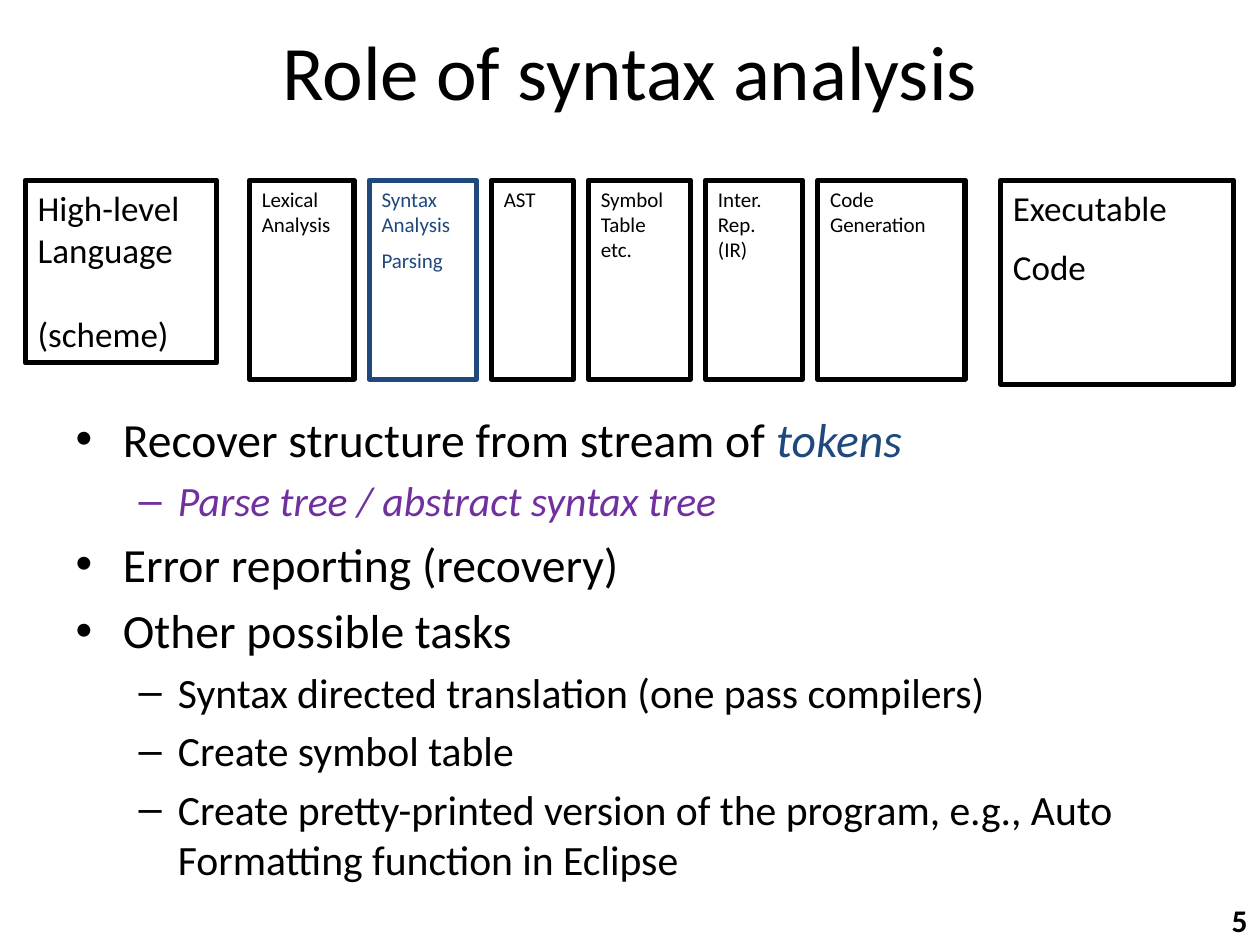
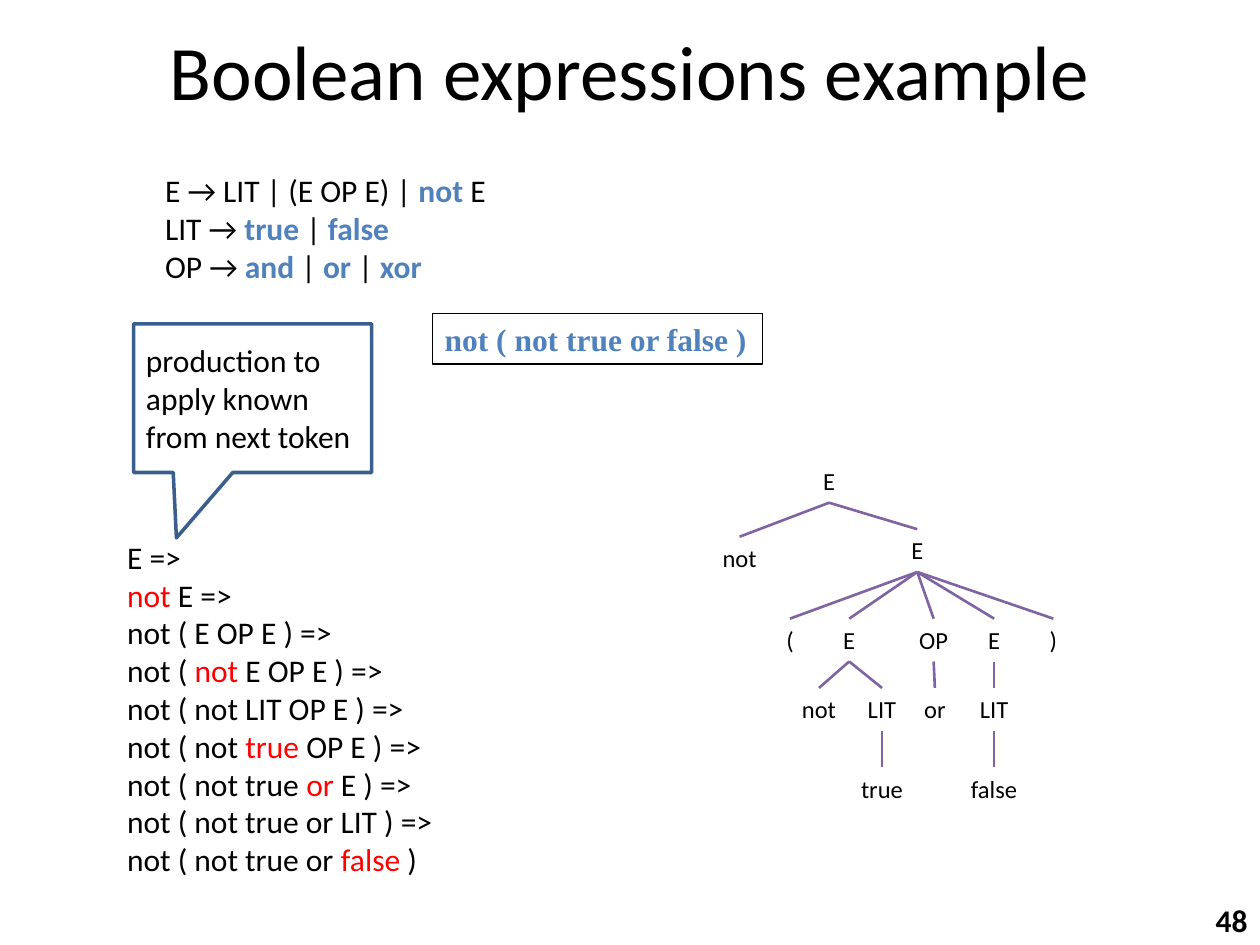
from lxml import etree
from pptx import Presentation
from pptx.dml.color import RGBColor
from pptx.enum.shapes import MSO_CONNECTOR, MSO_SHAPE
from pptx.enum.text import MSO_ANCHOR, MSO_AUTO_SIZE, PP_ALIGN
from pptx.oxml.ns import qn
from pptx.util import Inches, Pt

RECTANGLE = MSO_SHAPE.RECTANGLE
CALLOUT = MSO_SHAPE.RECTANGULAR_CALLOUT
STRAIGHT = MSO_CONNECTOR.STRAIGHT
TOP, MIDDLE = MSO_ANCHOR.TOP, MSO_ANCHOR.MIDDLE
LEFT, CENTER, RIGHT = PP_ALIGN.LEFT, PP_ALIGN.CENTER, PP_ALIGN.RIGHT
NO_FIT = MSO_AUTO_SIZE.NONE

COLORS = {
    "black": "000000",
    "navy": "1F497D",
    "purple": "7030A0",
    "blue": "4F81BD",
    "red": "FF0000",
    "branch": "8064A2",
    "callout": "3A5F8C",
}
FONT = "Calibri"
TITLE_ONLY, TITLE_AND_BODY = 5, 1
BOTTOM_SIDE, TOP_SIDE = 2, 0


def rgb(name):
    return RGBColor.from_string(COLORS[name])


class Deck:
    def __init__(self):
        self.presentation = Presentation()
        self.presentation.slide_width = Inches(10)
        self.presentation.slide_height = Inches(7.5)
        self.slide = None

    def start_slide(self, layout, title, number):
        layouts = self.presentation.slide_layouts
        self.slide = self.presentation.slides.add_slide(layouts[layout])
        heading = self.slide.shapes.title
        self.place(heading, 0.5, 0.13, 9, 0.85)
        self.set_lines(heading.text_frame, [title], 44, align=CENTER,
                       anchor=MIDDLE)
        self.text(9.49, 7.1, 0.51, 0.4, [number], 18, align=RIGHT, bold=True)

    def place(self, shape, left, top, width, height):
        shape.left, shape.top = Inches(left), Inches(top)
        shape.width, shape.height = Inches(width), Inches(height)

    def fill_paragraph(self, paragraph, text, size, color="black", font=FONT,
                       bold=None, italic=None, accent=None, accent_bold=None,
                       accent_italic=None):
        paragraph.font.name = font
        paragraph.font.size = Pt(size)
        paragraph.font.bold = bold
        paragraph.font.italic = italic
        paragraph.font.color.rgb = rgb(color)
        if accent is None:
            paragraph.text = text
            return
        for index, piece in enumerate(text.split("*")):
            if piece:
                run = paragraph.add_run()
                run.text = piece
                if index % 2:
                    run.font.color.rgb = rgb(accent)
                    run.font.bold = accent_bold
                    run.font.italic = accent_italic

    def set_lines(self, frame, lines, size, align=LEFT, anchor=TOP, wrap=True,
                  gap=0, **style):
        frame.word_wrap = wrap
        frame.auto_size = NO_FIT
        frame.vertical_anchor = anchor
        for index, line in enumerate(lines):
            paragraph = frame.add_paragraph() if index else frame.paragraphs[0]
            paragraph.alignment = align
            paragraph.space_before = Pt(gap if index else 0)
            self.fill_paragraph(paragraph, line, size, **style)

    def text(self, left, top, width, height, lines, size, **style):
        box = self.slide.shapes.add_textbox(
            Inches(left), Inches(top), Inches(width), Inches(height))
        self.set_lines(box.text_frame, lines, size, **style)
        return box

    def outline(self, kind, left, top, width, height, lines, size, line,
                weight, **style):
        shape = self.slide.shapes.add_shape(
            kind, Inches(left), Inches(top), Inches(width), Inches(height))
        shape.shadow.inherit = False
        shape.fill.background()
        shape.line.color.rgb = rgb(line)
        shape.line.width = Pt(weight)
        self.set_lines(shape.text_frame, lines, size, **style)
        return shape

    def bullets(self, left, top, width, height, items):
        body = self.slide.placeholders[1]
        self.place(body, left, top, width, height)
        frame = body.text_frame
        frame.auto_size = NO_FIT
        for index, (level, text, style) in enumerate(items):
            paragraph = frame.add_paragraph() if index else frame.paragraphs[0]
            paragraph.level = level
            if index == 0:
                paragraph.space_before = Pt(0)
            self.fill_paragraph(paragraph, text, 23.8 if level else 27.2, **style)

    def branch(self, parent, child):
        line = self.slide.shapes.add_connector(STRAIGHT, 0, 0, 0, 0)
        line.begin_connect(parent, BOTTOM_SIDE)
        line.end_connect(child, TOP_SIDE)
        line.line.color.rgb = rgb("branch")
        line.line.width = Pt(1.5)
        etree.SubElement(line._element.spPr, qn("a:effectLst"))


def syntax_role(deck):
    deck.start_slide(TITLE_AND_BODY, "Role of syntax analysis", "5")
    deck.bullets(0.5, 3.2, 9, 3.5, [
        (0, "Recover structure from stream of *tokens*",
         {"accent": "navy", "accent_italic": True}),
        (1, "Parse tree / abstract syntax tree",
         {"color": "purple", "italic": True}),
        (0, "Error reporting (recovery)", {}),
        (0, "Other possible tasks", {}),
        (1, "Syntax directed translation (one pass compilers)", {}),
        (1, "Create symbol table", {}),
        (1, "Create pretty-printed version of the program, e.g., "
            "Auto Formatting function in Eclipse", {}),
    ])

    stage_top = 1.43
    deck.outline(RECTANGLE, 0.2, stage_top, 1.52, 1.45,
                 ["High-level\vLanguage", "(scheme)"], 20, "black", 3, gap=24)
    deck.outline(RECTANGLE, 7.94, stage_top, 1.85, 1.62,
                 ["Executable", "Code"], 20, "black", 3, gap=10)
    stages = [
        (0.83, ["Lexical\vAnalysis"], "black"),
        (0.85, ["Syntax Analysis", "Parsing"], "navy"),
        (0.65, ["AST"], "black"),
        (0.81, ["Symbol\vTable\vetc."], "black"),
        (0.77, ["Inter.\vRep.\v(IR)"], "black"),
        (1.17, ["Code\vGeneration"], "black"),
    ]
    left, stage_gap = 1.98, 0.12
    for width, label, color in stages:
        deck.outline(RECTANGLE, left, stage_top, width, 1.58, label, 12,
                     color, 3, gap=6, color=color)
        left += width + stage_gap


def derivation_tree(deck):
    nodes = [
        ("root", None, "E", 6.58, 3.65, 0.3),
        ("root not", "root", "not", 5.87, 4.26, 0.48),
        ("group", "root", "E", 7.28, 4.2, 0.31),
        ("open", "group", "(", 6.27, 4.91, 0.26),
        ("left", "group", "E", 6.74, 4.91, 0.3),
        ("operator", "group", "OP", 7.41, 4.91, 0.43),
        ("right", "group", "E", 7.89, 4.91, 0.3),
        ("close", "group", ")", 8.36, 4.91, 0.26),
        ("left not", "left", "not", 6.5, 5.46, 0.48),
        ("left literal", "left", "LIT", 7, 5.46, 0.43),
        ("or", "operator", "or", 7.42, 5.46, 0.37),
        ("right literal", "right", "LIT", 7.89, 5.46, 0.43),
        ("true", "left literal", "true", 7, 6.09, 0.54),
        ("false", "right literal", "false", 7.89, 6.09, 0.57),
    ]
    placed = {}
    for key, parent, label, center, top, width in nodes:
        placed[key] = deck.text(center - width / 2, top, width, 0.34, [label],
                                14, align=CENTER, wrap=False)
        if parent:
            deck.branch(placed[parent], placed[key])


def boolean_example(deck):
    deck.start_slide(TITLE_ONLY, "Boolean expressions example", "48")
    deck.outline(RECTANGLE, 3.43, 2.49, 2.62, 0.4,
                 ["not ( not true or false )"], 18, "black", 0.75,
                 wrap=False, font="Times New Roman", color="blue", bold=True)
    deck.text(0.91, 4.22, 2.82, 2.83, [
        "E =>",
        "*not* E =>",
        "not ( E OP E ) =>",
        "not ( *not* E OP E ) =>",
        "not ( not LIT OP E ) =>",
        "not ( not *true* OP E ) =>",
        "not ( not true *or* E ) =>",
        "not ( not true or LIT ) =>",
        "not ( not true or *false* )",
    ], 18, accent="red")
    derivation_tree(deck)
    hint = deck.outline(CALLOUT, 1.06, 2.57, 1.89, 1.18,
                        ["production to apply known from next token"], 18,
                        "callout", 2, anchor=MIDDLE)
    hint.adjustments[0], hint.adjustments[1] = -0.32, 0.94
    grammar = deck.text(1.14, 1.31, 2.99, 1.01, [
        "E → LIT | (E OP E) | *not* E",
        "LIT → *true* | *false*",
        "OP → *and* | *or* | *xor*",
    ], 18, accent="blue", accent_bold=True)
    grammar.text_frame.margin_left = Inches(0.17)


def main():
    deck = Deck()
    syntax_role(deck)
    boolean_example(deck)
    deck.presentation.save("out.pptx")


if __name__ == "__main__":
    main()
